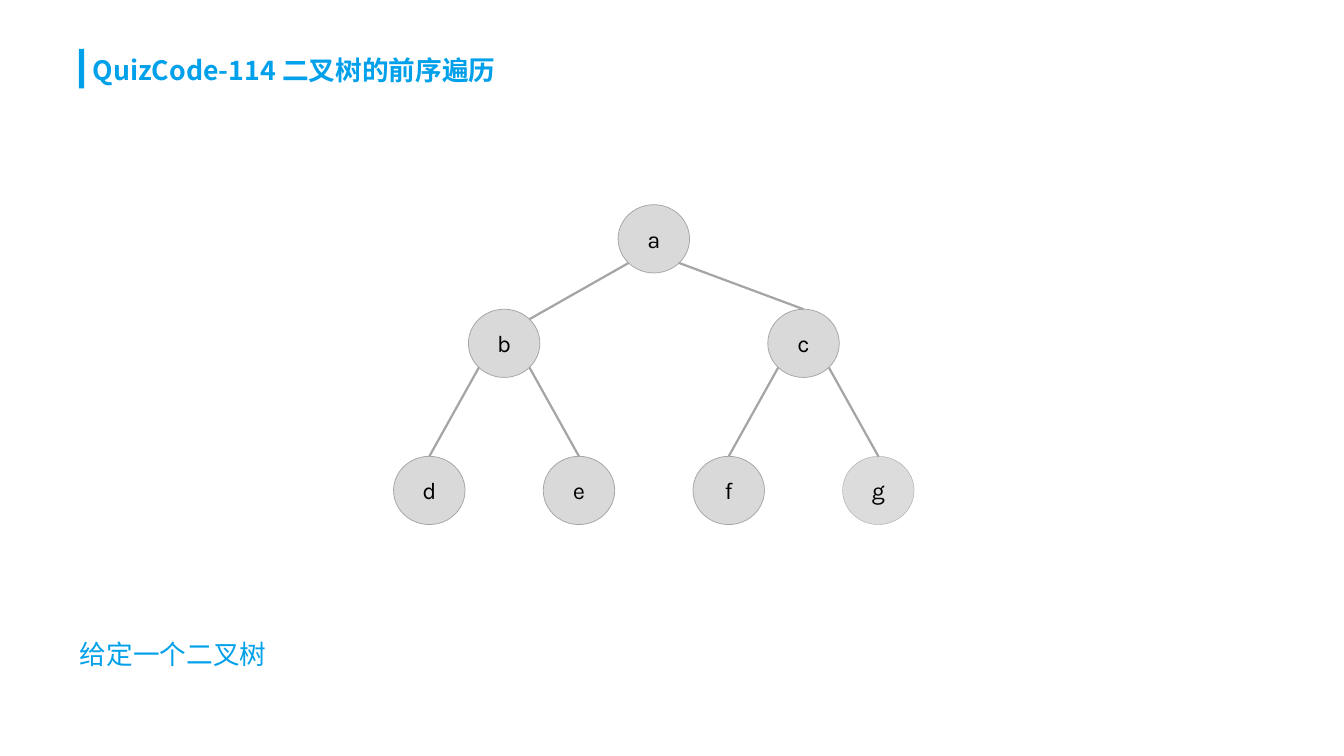
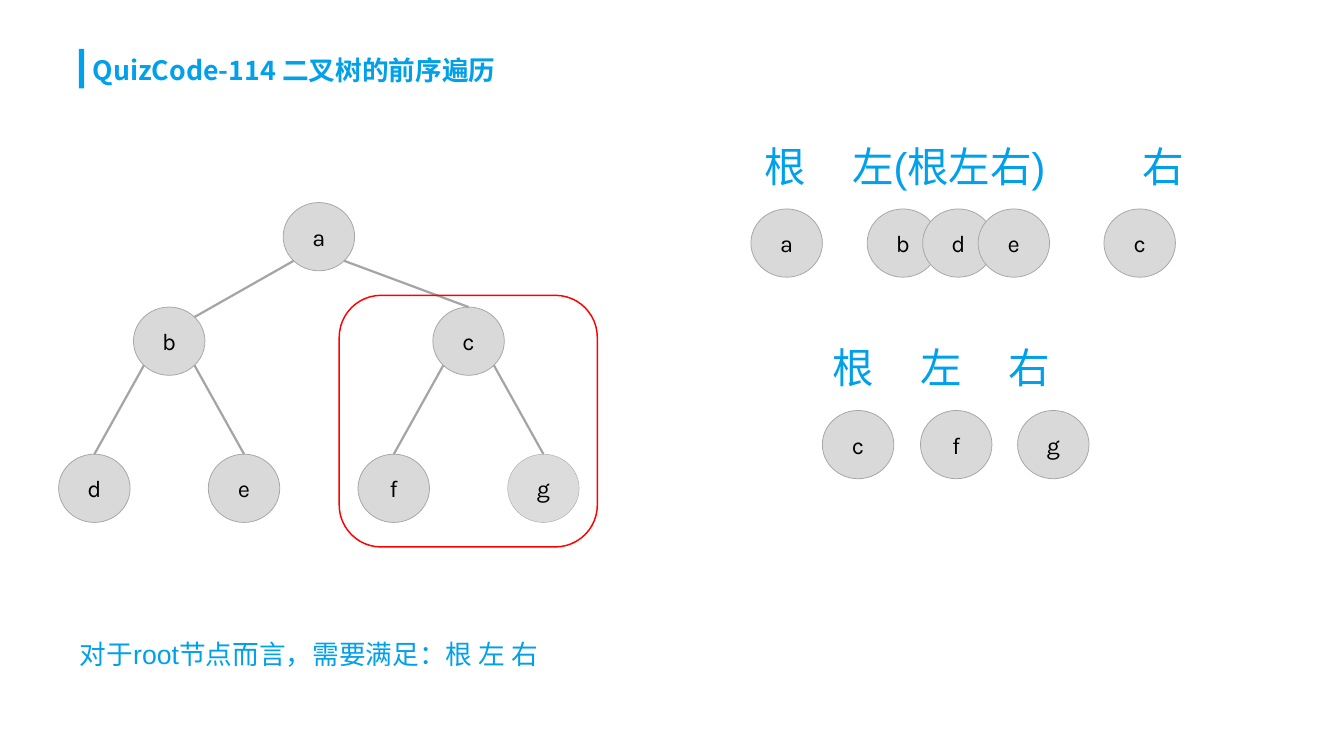
from math import sqrt

from lxml import etree
from pptx import Presentation
from pptx.dml.color import RGBColor
from pptx.enum.shapes import MSO_CONNECTOR, MSO_SHAPE
from pptx.enum.text import MSO_ANCHOR, MSO_AUTO_SIZE, PP_ALIGN
from pptx.oxml.ns import qn
from pptx.util import Inches, Pt

RECT, OVAL, ROUNDED = MSO_SHAPE.RECTANGLE, MSO_SHAPE.OVAL, MSO_SHAPE.ROUNDED_RECTANGLE
STRAIGHT = MSO_CONNECTOR.STRAIGHT
MIDDLE, CENTER = MSO_ANCHOR.MIDDLE, PP_ALIGN.CENTER
GROW = MSO_AUTO_SIZE.SHAPE_TO_FIT_TEXT

BLUE = RGBColor(0x00, 0xA0, 0xEA)
BLACK = RGBColor(0x00, 0x00, 0x00)
RED = RGBColor(0xFF, 0x00, 0x00)
NODE_GRAY = RGBColor(0xD9, 0xD9, 0xD9)
PALE_GRAY = RGBColor(0xDC, 0xDC, 0xDC)
LINE_GRAY = RGBColor(0xA5, 0xA5, 0xA5)
TITLE_FONT, BODY_FONT, NODE_FONT = "Noto Sans CJK JP", "Arial", "Karla"

# Content
TITLE = "QuizCode-114 二叉树的前序遍历"

# Node: (column, level); columns follow the in-order walk
TREE = {"d": (0, 2), "b": (1, 1), "e": (2, 2), "a": (3, 0),
        "f": (4, 2), "c": (5, 1), "g": (6, 2)}
# Parent, side it leaves from (-1 left, 1 right), child, where it arrives
EDGES = [("a", -1, "b", "corner"), ("a", 1, "c", "top"),
         ("b", -1, "d", "top"), ("b", 1, "e", "top"),
         ("c", -1, "f", "top"), ("c", 1, "g", "top")]

# Each page: tree left and top, caption and its width in inches
PAGES = [
    {"tree": (3.69, 1.92), "caption": "给定一个二叉树", "width": 3.61},
    {"tree": (0.55, 1.9), "caption": "对于root节点而言，需要满足：根 左 右",
     "width": 5.18,
     "subtree": (3.18, 2.77, 2.42, 2.36),
     "orders": [
         {"text": "根\t左(根左右)\t右", "box": (7.07, 1.32, 4.35, 0.65),
          "tabs": (0.82, 3.54), "top": 1.96,
          "nodes": {"a": 7.04, "b": 8.13, "d": 8.65, "e": 9.17, "c": 10.35}},
         {"text": "根\t左\t右", "box": (7.71, 3.2, 3.21, 0.65),
          "tabs": (0.82, 1.65), "top": 3.85,
          "nodes": {"c": 7.71, "f": 8.63, "g": 9.54}},
     ]},
]

# Geometry
NODE_W, NODE_H = Inches(0.67), Inches(0.64)
COLUMN = Inches(4.21) / 6
LEVELS = [Inches(0), Inches(0.98), Inches(2.36)]
DIAGONAL = sqrt(0.5)


def add_text(page, text, box, size, font, bold=False):
    shape = page.shapes.add_textbox(*map(Inches, box))
    frame = shape.text_frame
    frame.word_wrap = True
    frame.auto_size = GROW
    frame.text = text
    style_run(frame.paragraphs[0], size, font, BLUE, bold)
    return frame


def style_run(para, size, font, color, bold=False):
    style = para.runs[0].font
    style.size, style.name, style.bold = Pt(size), font, bold
    style.color.rgb = color


def add_label(page, text, box, size, tabs=()):
    frame = add_text(page, text, box, size, BODY_FONT)
    frame.vertical_anchor = MIDDLE
    frame.margin_top, frame.margin_bottom = Inches(0), Inches(0.17)
    if tabs:
        props = frame.paragraphs[0]._p.get_or_add_pPr()
        stops = etree.SubElement(props, qn("a:tabLst"))
        for stop in tabs:
            etree.SubElement(stops, qn("a:tab"), pos=str(Inches(stop)), algn="l")


def add_node(page, name, left, top, fill=NODE_GRAY, outline=0.5):
    node = page.shapes.add_shape(OVAL, int(left), int(top), NODE_W, NODE_H)
    node.shadow.inherit = False
    node.fill.solid()
    node.fill.fore_color.rgb = fill
    node.line.color.rgb = LINE_GRAY
    node.line.width = Pt(outline)
    frame = node.text_frame
    frame.text = name
    frame.vertical_anchor = MIDDLE
    para = frame.paragraphs[0]
    para.alignment = CENTER
    style_run(para, 16, NODE_FONT, BLACK)
    return node


def rim_point(node, across, down):
    """Point on the outline of a node, 45 degrees off the axes."""
    return (int(node.left + NODE_W * (1 + across * DIAGONAL) / 2),
            int(node.top + NODE_H * (1 + down * DIAGONAL) / 2))


def add_tree(page, left, top):
    nodes = {}
    for name, (column, level) in TREE.items():
        look = (PALE_GRAY, 0.25) if name == "g" else (NODE_GRAY, 0.5)
        nodes[name] = add_node(page, name, Inches(left) + column * COLUMN,
                               Inches(top) + LEVELS[level], *look)
    for parent, side, child, arrival in EDGES:
        start = rim_point(nodes[parent], side, 1)
        end = rim_point(nodes[child], -side, -1)
        edge = page.shapes.add_connector(STRAIGHT, *start, *end)
        if arrival == "top":
            edge.end_connect(nodes[child], 0)
        edge.line.color.rgb = LINE_GRAY
        edge.line.width = Pt(1.5)
        etree.SubElement(edge._element.spPr, qn("a:effectLst"))


def add_page(deck, content):
    page = deck.slides.add_slide(deck.slide_layouts[6])

    # Title with its bar
    add_text(page, TITLE, (0.77, 0.46, 6.29, 0.4), 18, TITLE_FONT, bold=True)
    bar = page.shapes.add_shape(RECT, *map(Inches, (0.74, 0.46, 0.05, 0.37)))
    bar.shadow.inherit = False
    bar.fill.solid()
    bar.fill.fore_color.rgb = BLUE
    bar.line.fill.background()

    # Tree and caption
    add_tree(page, *content["tree"])
    add_label(page, content["caption"], (0.65, 5.98, content["width"], 0.48), 18)

    # Frame around the right subtree
    if "subtree" in content:
        frame = page.shapes.add_shape(ROUNDED, *map(Inches, content["subtree"]))
        frame.shadow.inherit = False
        frame.fill.background()
        frame.line.color.rgb = RED
        frame.line.width = Pt(1)

    # Visiting orders
    for order in content.get("orders", []):
        add_label(page, order["text"], order["box"], 28, order["tabs"])
        for name, left in order["nodes"].items():
            add_node(page, name, Inches(left), Inches(order["top"]))


def main():
    deck = Presentation()
    deck.slide_width, deck.slide_height = Inches(12.6), Inches(7.09)
    for content in PAGES:
        add_page(deck, content)
    deck.save("out.pptx")


if __name__ == "__main__":
    main()
